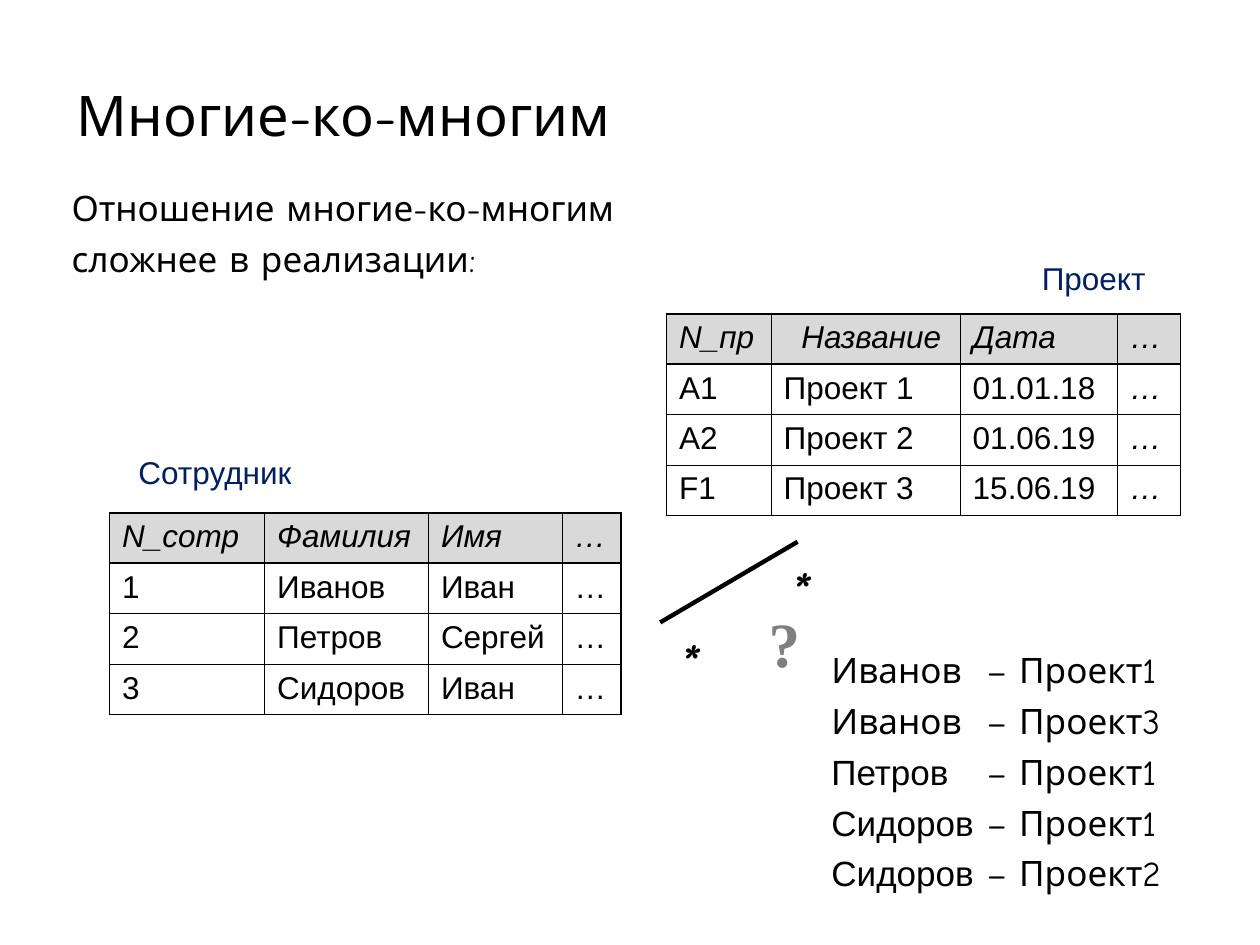
from dataclasses import dataclass

from lxml.etree import SubElement
from pptx import Presentation
from pptx.dml.color import RGBColor
from pptx.enum.shapes import MSO_CONNECTOR
from pptx.enum.text import MSO_ANCHOR, MSO_AUTO_SIZE, PP_ALIGN
from pptx.oxml.ns import qn
from pptx.util import Inches, Pt


@dataclass(frozen=True)
class Theme:
    ink: str = "000000"
    navy: str = "002060"
    gray: str = "7F7F7F"
    head: str = "D9D9D9"
    main: str = "Comic Neue"
    plain: str = "Arial"
    serif: str = "Times New Roman"
    title: int = 32
    body: int = 20
    cell: int = 18
    star: int = 28
    query: int = 36
    thin: float = 0.45
    thick: float = 1.08
    link: float = 2.5


THEME = Theme()
TITLE = dict(name=THEME.main, size=Pt(THEME.title))
BODY = dict(name=THEME.main, size=Pt(THEME.body))
CELL = dict(name=THEME.plain, size=Pt(THEME.cell))
STAR = dict(name=THEME.main, size=Pt(THEME.star), bold=True, italic=True)
QUERY = dict(name=THEME.serif, size=Pt(THEME.query), bold=True)

STAFF = [
    ["N_сотр", "Фамилия", "Имя", "…"],
    ["1", "Иванов", "Иван", "…"],
    ["2", "Петров", "Сергей", "…"],
    ["3", "Сидоров", "Иван", "…"],
]
JOBS = [
    ["N_пр", "Название", "Дата", "…"],
    ["А1", "Проект 1", "01.01.18", "…"],
    ["А2", "Проект 2", "01.06.19", "…"],
    ["F1", "Проект 3", "15.06.19", "…"],
]
# Name, its font, project
PAIRS = [
    ("Иванов", THEME.main, "Проект1"),
    ("Иванов", THEME.main, "Проект3"),
    ("Петров", THEME.plain, "Проект1"),
    ("Сидоров", THEME.plain, "Проект1"),
    ("Сидоров", THEME.plain, "Проект2"),
]


def style(font, form, color=THEME.ink):
    for key, value in form.items():
        setattr(font, key, value)
    font.color.rgb = RGBColor.from_string(color)


def add_frame(slide, place, anchor=MSO_ANCHOR.TOP, fit=MSO_AUTO_SIZE.NONE):
    frame = slide.shapes.add_textbox(*map(Inches, place)).text_frame
    frame.word_wrap = True
    frame.auto_size = fit
    frame.vertical_anchor = anchor
    return frame


def add_lines(frame, count):
    """Return count paragraphs with a gap between them."""
    lines = [frame.paragraphs[0]]
    for _ in range(count - 1):
        line = frame.add_paragraph()
        line.space_before = Pt(5)
        lines.append(line)
    return lines


def add_text(slide, place, lines, form, anchor=MSO_ANCHOR.TOP):
    frame = add_frame(slide, place, anchor)
    for para, text in zip(add_lines(frame, len(lines)), lines):
        run = para.add_run()
        run.text = text
        style(run.font, form)


def add_label(slide, place, text, form, color=THEME.ink, align=PP_ALIGN.LEFT):
    frame = add_frame(slide, place, fit=MSO_AUTO_SIZE.SHAPE_TO_FIT_TEXT)
    para = frame.paragraphs[0]
    para.alignment = align
    run = para.add_run()
    run.text = text
    style(run.font, form, color)


def add_pairs(slide, place):
    """List names and projects, split by a tab stop."""
    frame = add_frame(slide, place)
    for para, (name, face, job) in zip(add_lines(frame, len(PAIRS)), PAIRS):
        stops = SubElement(para._p.get_or_add_pPr(), qn("a:tabLst"))
        SubElement(stops, qn("a:tab"), pos=str(Inches(1.23)), algn="l")
        for text, font in ((name, face), (f"\t– {job}", THEME.main)):
            run = para.add_run()
            run.text = text
            style(run.font, BODY | dict(name=font))


def add_edge(cell, side, width):
    edge = SubElement(cell._tc.get_or_add_tcPr(), qn(f"a:ln{side}"), w=str(Pt(width)))
    fill = SubElement(edge, qn("a:solidFill"))
    SubElement(fill, qn("a:srgbClr"), val=THEME.ink)


def add_grid(slide, left, top, widths, rows, slant=False):
    """Draw a table; slant sets the last column in italics."""
    last = len(widths) - 1
    table = slide.shapes.add_table(
        len(rows), len(widths), Inches(left), Inches(top),
        Inches(sum(widths)), Inches(0.4 * len(rows)),
    ).table
    table.first_row = table.horz_banding = False
    for col, width in zip(table.columns, widths):
        col.width = Inches(width)
    for r, row in enumerate(rows):
        table.rows[r].height = Inches(0.4)
        for c, text in enumerate(row):
            cell = table.cell(r, c)
            bold = {"L": c == 0, "R": c == last, "T": r < 2, "B": r == 0}
            for side, heavy in bold.items():
                add_edge(cell, side, THEME.thick if heavy else THEME.thin)
            if r == 0:
                cell.fill.solid()
                cell.fill.fore_color.rgb = RGBColor.from_string(THEME.head)
            else:
                cell.fill.background()
            cell.text = text
            tilt = r == 0 or (slant and c == last)
            style(cell.text_frame.paragraphs[0].runs[0].font, CELL | dict(italic=tilt))
    return table


def add_link(slide, start, end):
    link = slide.shapes.add_connector(
        MSO_CONNECTOR.STRAIGHT, *map(Inches, (*start, *end)))
    link.line.width = Pt(THEME.link)
    link.line.color.rgb = RGBColor.from_string(THEME.ink)
    SubElement(link._element.spPr, qn("a:effectLst"))


def main():
    deck = Presentation()
    deck.slide_width, deck.slide_height = Inches(10), Inches(7.5)
    slide = deck.slides.add_slide(deck.slide_layouts[6])

    add_text(slide, (0.51, 0.28, 6.16, 1.25), ["Многие-ко-многим"], TITLE,
             MSO_ANCHOR.MIDDLE)
    jobs = add_grid(slide, 5.29, 2.49, (0.83, 1.5, 1.25, 0.5), JOBS, slant=True)
    jobs.cell(0, 1).margin_left = Inches(0.24)
    add_label(slide, (1, 3.55, 1.58, 0.4), "Сотрудник", CELL, THEME.navy)
    add_label(slide, (8.17, 2.01, 1.25, 0.4), "Проект", CELL, THEME.navy)
    add_grid(slide, 0.87, 4.07, (1.23, 1.3, 1.06, 0.47), STAFF)
    add_text(slide, (0.47, 1.43, 4.56, 1.18),
             ["Отношение многие-ко-многим", "сложнее в реализации:"], BODY)

    add_link(slide, (6.33, 4.3), (5.24, 4.94))
    for left, top in ((5.17, 4.96), (6.05, 4.39)):
        add_label(slide, (left, top, 0.61, 0.57), "*", STAR, align=PP_ALIGN.CENTER)
    add_label(slide, (5.95, 4.75, 0.55, 0.7), "?", QUERY, THEME.gray, PP_ALIGN.CENTER)
    add_pairs(slide, (6.5, 5.1, 2.82, 2.11))

    deck.save("out.pptx")


if __name__ == "__main__":
    main()
